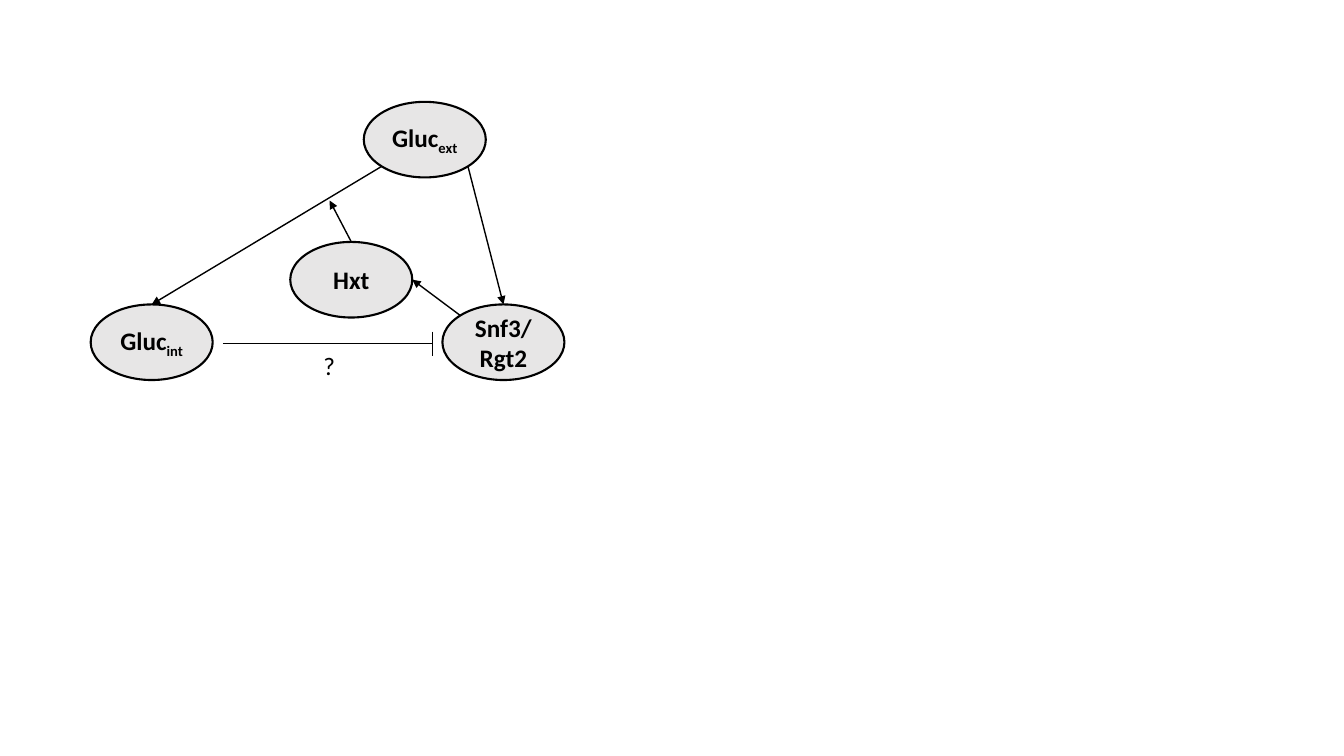
from math import sqrt

from lxml import etree
from pptx import Presentation, util as u
from pptx.dml.color import RGBColor
from pptx.enum import shapes, text
from pptx.oxml import ns

BLACK = RGBColor(0x00, 0x00, 0x00)
GREY = RGBColor(0xE7, 0xE6, 0xE6)

deck = Presentation()
deck.slide_width, deck.slide_height = u.Inches(13.33), u.Inches(7.5)
slide = deck.slides.add_slide(deck.slide_layouts[6])

# Lengths are percent of the slide's width and height
PX, PY = deck.slide_width / 100, deck.slide_height / 100
WIDE, HIGH = 9.08, 10
DIAG = sqrt(0.5)


def add_run(para, words, bold=False, base=None):
    run = para.add_run()
    run.text = words
    run.font.name, run.font.size = "Calibri", u.Pt(18)
    run.font.bold, run.font.color.rgb = bold, BLACK
    if base:
        run.font._element.set("baseline", str(base))


def add_line(start, end, arrow=False):
    (x1, y1), (x2, y2) = start, end
    line = slide.shapes.add_connector(
        shapes.MSO_CONNECTOR.STRAIGHT,
        int(x1 * PX), int(y1 * PY), int(x2 * PX), int(y2 * PY))
    line.line.color.rgb, line.line.width = BLACK, u.Pt(1)
    if arrow:
        tip = etree.SubElement(line.line._get_or_add_ln(), ns.qn("a:tailEnd"))
        tip.set("type", "triangle")
    etree.SubElement(line._element.spPr, ns.qn("a:effectLst"))


# Nodes: centre, then lines of (name, subscript)
nodes = {
    "int": (11.29, 45.27, [("Gluc", "int")]),
    "hxt": (26.14, 37, [("Hxt", "")]),
    "ext": (31.61, 18.47, [("Gluc", "ext")]),
    "snf": (37.46, 45.27, [("Snf3/", ""), ("Rgt2", "")]),
}
for x, y, rows in nodes.values():
    node = slide.shapes.add_shape(
        shapes.MSO_SHAPE.OVAL, int((x - WIDE / 2) * PX),
        int((y - HIGH / 2) * PY), int(WIDE * PX), int(HIGH * PY))
    node.shadow.inherit = False
    node.fill.solid()
    node.fill.fore_color.rgb = GREY
    node.line.color.rgb, node.line.width = BLACK, u.Pt(1.5)
    frame = node.text_frame
    frame.word_wrap = True
    frame.vertical_anchor = text.MSO_ANCHOR.MIDDLE
    frame.margin_left = frame.margin_right = 0
    frame.margin_top = frame.margin_bottom = 0
    for i, (name, sub) in enumerate(rows):
        para = frame.add_paragraph() if i else frame.paragraphs[0]
        para.alignment = text.PP_ALIGN.CENTER
        add_run(para, name, True)
        if sub:
            add_run(para, sub, True, -25000)

# Points on the rims, by direction from the centre
rim = {}
for key, (x, y, rows) in nodes.items():
    for side, dx, dy in [("top", 0, -1), ("right", 1, 0),
                         ("upleft", -DIAG, -DIAG), ("lowleft", -DIAG, DIAG),
                         ("lowright", DIAG, DIAG)]:
        rim[key, side] = (x + dx * WIDE / 2, y + dy * HIGH / 2)

# Arrows
for start, end in [
    (rim["ext", "lowleft"], rim["int", "top"]),
    (rim["hxt", "top"], (24.53, 26.53)),
    (rim["ext", "lowright"], rim["snf", "top"]),
    (rim["snf", "upleft"], rim["hxt", "right"]),
]:
    add_line(start, end, arrow=True)

# Inhibition: a line with a cross bar
stop, level, half = 32.18, 45.47, 1.6
add_line((16.58, level), (stop, level))
add_line((stop, level - half), (stop, level + half))

# Question mark
mark = slide.shapes.add_textbox(
    int(23.33 * PX), int(45.73 * PY), int(2.4 * PX), int(5.33 * PY))
mark.text_frame.word_wrap = False
mark.text_frame.auto_size = text.MSO_AUTO_SIZE.SHAPE_TO_FIT_TEXT
add_run(mark.text_frame.paragraphs[0], "?")

deck.save("out.pptx")
